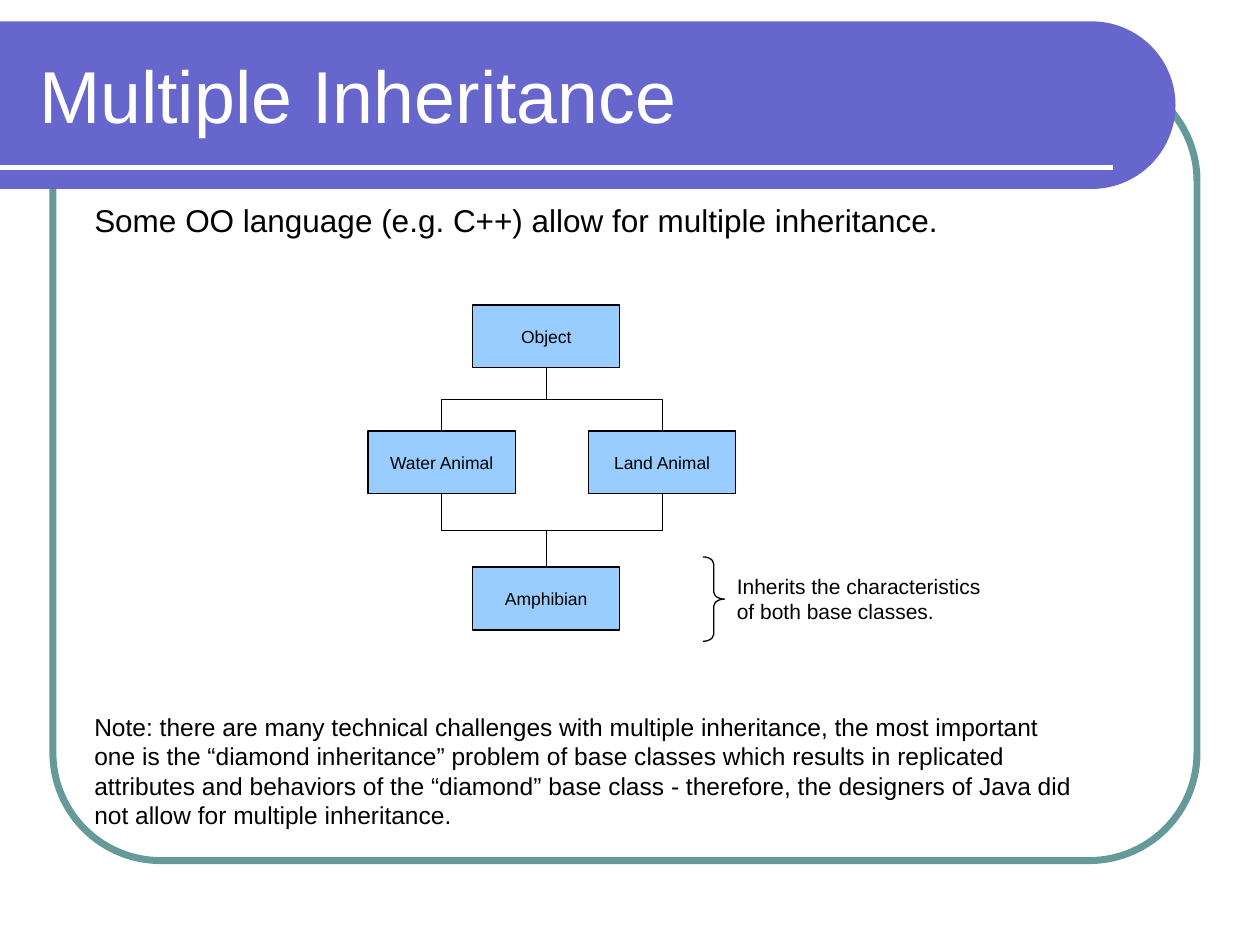
import math
from dataclasses import dataclass

import lxml.etree
import pptx
import pptx.dml.color
import pptx.enum.shapes
import pptx.enum.text
import pptx.oxml.ns
import pptx.util

Inches = pptx.util.Inches
Pt = pptx.util.Pt
SHAPE = pptx.enum.shapes.MSO_SHAPE
CONNECTOR = pptx.enum.shapes.MSO_CONNECTOR
ANCHOR = pptx.enum.text.MSO_ANCHOR
ALIGN = pptx.enum.text.PP_ALIGN

BOX_W, BOX_H = 1.17, 0.5
BOTTOM, TOP = 2, 0  # connection sites of a rectangle


@dataclass
class ClassBox:
    name: str
    left: float
    top: float


def color(hex_text: str) -> pptx.dml.color.RGBColor:
    return pptx.dml.color.RGBColor.from_string(hex_text)


def style(sp, fill=None, line=None, width=0.75) -> None:
    sp.shadow.inherit = False
    if fill:
        sp.fill.solid()
        sp.fill.fore_color.rgb = color(fill)
    else:
        sp.fill.background()
    if line:
        sp.line.color.rgb = color(line)
        sp.line.width = Pt(width)
    else:
        sp.line.fill.background()


def write(sp, text: str, *, size: float, ink="000000", align=ALIGN.LEFT,
          anchor=ANCHOR.TOP, wrap=True) -> None:
    tf = sp.text_frame
    tf.word_wrap = wrap
    tf.auto_size = pptx.enum.text.MSO_AUTO_SIZE.NONE
    tf.vertical_anchor = anchor
    p = tf.paragraphs[0]
    p.text = text
    p.alignment = align
    for r in p.runs:
        r.font.name = "Arial"
        r.font.size = Pt(size)
        r.font.color.rgb = color(ink)


def add_text(s, text: str, left, top, width, height, **fmt) -> None:
    box = s.shapes.add_textbox(Inches(left), Inches(top), Inches(width), Inches(height))
    write(box, text, **fmt)


def add_line(s, kind, x1, y1, x2, y2, line="000000", width=0.75):
    cxn = s.shapes.add_connector(kind, x1, y1, x2, y2)
    cxn.line.color.rgb = color(line)
    cxn.line.width = Pt(width)
    lxml.etree.SubElement(cxn.element.spPr, pptx.oxml.ns.qn("a:effectLst"))
    return cxn


def add_class(s, item: ClassBox):
    sp = s.shapes.add_shape(SHAPE.RECTANGLE, Inches(item.left), Inches(item.top),
                            Inches(BOX_W), Inches(BOX_H))
    style(sp, fill="99CCFF", line="000000")
    write(sp, item.name, size=10, align=ALIGN.CENTER, anchor=ANCHOR.MIDDLE, wrap=False)
    return sp


def link(s, upper, lower) -> None:
    """Elbow that leaves the upper box downward and enters the lower from above."""
    x1, y1 = upper.left + upper.width // 2, upper.top + upper.height
    x2, y2 = lower.left + lower.width // 2, lower.top
    cxn = add_line(s, CONNECTOR.ELBOW, x1, y1, x2, y2)
    cxn.begin_connect(upper, BOTTOM)
    cxn.end_connect(lower, TOP)
    # The preset runs sideways, so turn it a quarter about its centre
    drop, span = y2 - y1, abs(x2 - x1)
    cxn.left, cxn.top = (x1 + x2 - drop) // 2, (y1 + y2 - span) // 2
    cxn.width, cxn.height = drop, span
    xfrm = cxn.element.spPr.find(pptx.oxml.ns.qn("a:xfrm"))
    to_right = x2 > x1
    xfrm.set("rot", str((270 if to_right else 90) * 60000))
    xfrm.set("flipH", "1" if to_right else "0")


def add_band(s, top: float, right: float, radius: float) -> None:
    """Title band with a half-round right end."""
    cx, cy = right - radius, top + radius
    arc = [(cx + radius * math.cos(math.radians(a)), cy + radius * math.sin(math.radians(a)))
           for a in range(-90, 91, 3)]
    points = arc + [(0, top + 2 * radius)]
    builder = s.shapes.build_freeform(0, Inches(top))
    builder.add_line_segments([(Inches(x), Inches(y)) for x, y in points], close=True)
    style(builder.convert_to_shape(), fill="6666CC")


def main() -> None:
    prs = pptx.Presentation()
    prs.slide_width, prs.slide_height = Inches(10), Inches(7.5)
    s = prs.slides.add_slide(prs.slide_layouts[5])

    # Frame, band and rule
    frame = s.shapes.add_shape(SHAPE.ROUNDED_RECTANGLE, Inches(0.42), Inches(0.58),
                               Inches(9.08), Inches(6.25))
    frame.adjustments[0] = 0.137
    style(frame, line="669999", width=4)
    add_band(s, top=0.17, right=9.33, radius=0.665)
    add_line(s, CONNECTOR.STRAIGHT, 0, Inches(1.33), Inches(8.83), Inches(1.33),
             line="FFFFFF", width=3)

    # Title, brought in front of the band
    title = s.shapes.title
    title.left, title.top = Inches(0.21), Inches(0.25)
    title.width, title.height = Inches(8.77), Inches(1)
    write(title, "Multiple Inheritance", size=42, ink="FFFFFF", anchor=ANCHOR.MIDDLE)
    s.shapes.element.append(title.element)

    add_text(s, "Some OO language (e.g. C++) allow for multiple inheritance.",
             0.65, 1.55, 6.9, 0.4, size=18, wrap=False)

    # Class diagram
    base, water, land, amphibian = [add_class(s, item) for item in (
        ClassBox("Object", 3.75, 2.42),
        ClassBox("Water Animal", 2.92, 3.42),
        ClassBox("Land Animal", 4.67, 3.42),
        ClassBox("Amphibian", 3.75, 4.5),
    )]
    for parent in (water, land):
        link(s, base, parent)
        link(s, parent, amphibian)

    # Brace and remark
    brace = s.shapes.add_shape(SHAPE.RIGHT_BRACE, Inches(5.58), Inches(4.42),
                               Inches(0.17), Inches(0.67))
    brace.adjustments[0] = 0.33
    style(brace, line="000000")
    add_text(s, "Inherits the characteristics\vof both base classes.",
             5.75, 4.5, 2.13, 0.5, size=12, wrap=False)

    # Note
    add_text(s, "Note: there are many technical challenges with multiple inheritance, "
             "the most important one is the “diamond inheritance” problem of base classes "
             "which results in replicated attributes and behaviors of the “diamond” base "
             "class - therefore, the designers of Java did not allow for multiple "
             "inheritance.", 0.65, 5.6, 8.02, 1.04, size=14)

    prs.save("out.pptx")


if __name__ == "__main__":
    main()
